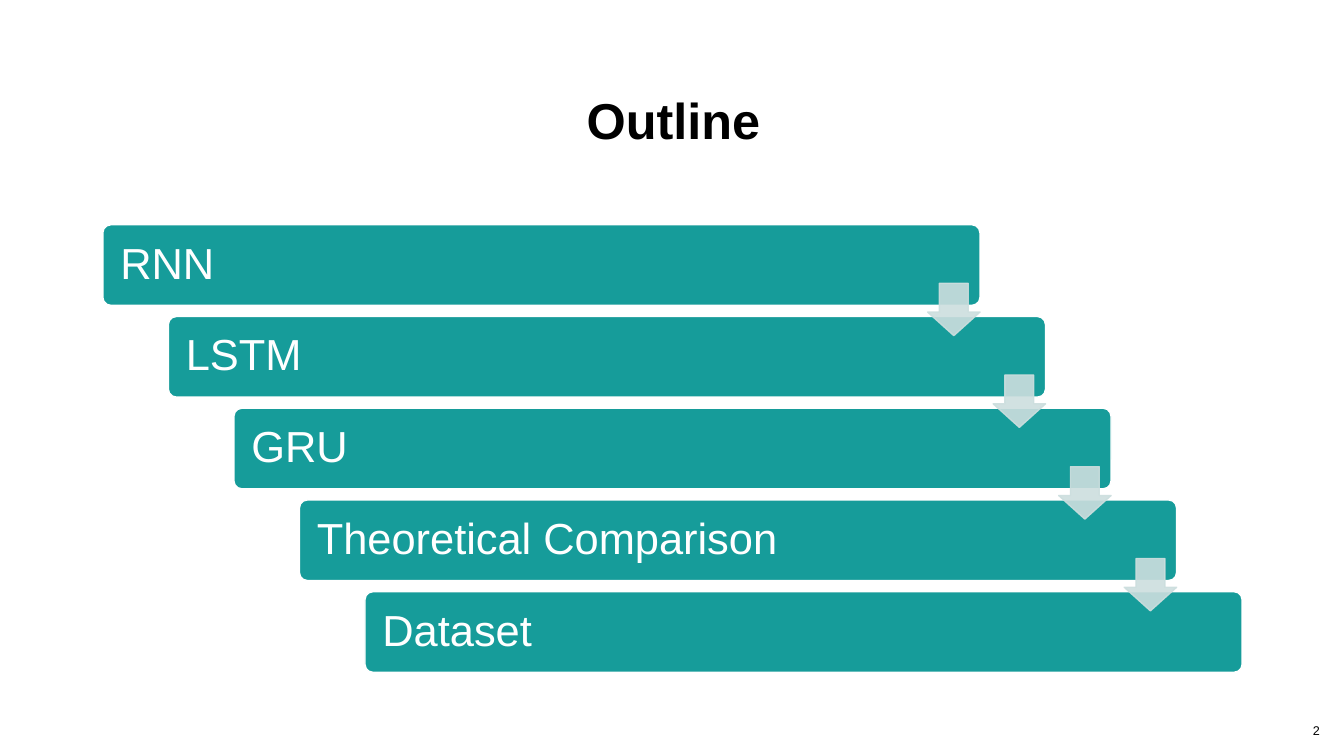
from dataclasses import dataclass

from lxml.etree import SubElement
from pptx import Presentation
from pptx.dml.color import RGBColor
from pptx.dml.fill import FillFormat
from pptx.enum.shapes import MSO_SHAPE
from pptx.enum.text import MSO_ANCHOR, MSO_AUTO_SIZE, PP_ALIGN
from pptx.oxml.ns import qn
from pptx.shapes.autoshape import Shape
from pptx.slide import Slide
from pptx.util import Inches, Pt

FONT = "Arial"
BLACK, WHITE, TEAL, MIST = "000000", "FFFFFF", "169C9A", "CCDEDE"

# Staircase grid: each step moves one column right and one row down
LEFT, TOP = 1.02, 2.23
COLUMN, ROW = 0.65, 0.91
BAR_WIDTH, BAR_HEIGHT = 8.7, 0.8
ARROW_SIZE, ARROW_DROP = 0.52, 0.58
TOPICS = ["RNN", "LSTM", "GRU", "Theoretical Comparison", "Dataset"]


@dataclass
class Box:
    left: float
    top: float
    width: float
    height: float

    def lengths(self) -> tuple[int, int, int, int]:
        return (Inches(self.left), Inches(self.top),
                Inches(self.width), Inches(self.height))


@dataclass
class Step:
    index: int
    topic: str

    @property
    def bar(self) -> Box:
        return Box(LEFT + self.index * COLUMN, TOP + self.index * ROW,
                   BAR_WIDTH, BAR_HEIGHT)

    @property
    def arrow(self) -> Box:
        return Box(self.bar.left + BAR_WIDTH - ARROW_SIZE,
                   self.bar.top + ARROW_DROP, ARROW_SIZE, ARROW_SIZE)


def color(value: str) -> RGBColor:
    return RGBColor.from_string(value)


def paint(fill: FillFormat, value: str) -> None:
    fill.solid()
    fill.fore_color.rgb = color(value)


def write(shape: Shape, text: str, size: float, ink: str,
          align: PP_ALIGN, bold: bool = False) -> None:
    frame = shape.text_frame
    frame.text = text
    frame.word_wrap = True
    frame.auto_size = MSO_AUTO_SIZE.NONE
    frame.vertical_anchor = MSO_ANCHOR.MIDDLE
    paragraph = frame.paragraphs[0]
    paragraph.alignment = align
    paragraph.line_spacing = 0.9
    font = paragraph.runs[0].font
    font.name, font.size, font.bold = FONT, Pt(size), bold
    font.color.rgb = color(ink)


def add_block(slide: Slide, kind: MSO_SHAPE, box: Box, fill: str, line: str,
              adjustments: list[float]) -> Shape:
    block = slide.shapes.add_shape(kind, *box.lengths())
    block.shadow.inherit = False
    paint(block.fill, fill)
    paint(block.line.fill, line)
    block.line.width = Pt(1)
    for position, value in enumerate(adjustments):
        block.adjustments[position] = value
    return block


def add_bar(slide: Slide, step: Step) -> None:
    bar = add_block(slide, MSO_SHAPE.ROUNDED_RECTANGLE, step.bar,
                    TEAL, WHITE, [0.1])
    bar.text_frame.margin_left = bar.text_frame.margin_right = Inches(0.15)
    write(bar, step.topic, 31, WHITE, PP_ALIGN.LEFT)


def add_arrow(slide: Slide, step: Step) -> None:
    arrow = add_block(slide, MSO_SHAPE.DOWN_ARROW, step.arrow,
                      MIST, MIST, [0.55, 0.45])
    # Fill and outline are 90 % opaque
    for tint in arrow.element.spPr.iter(qn("a:srgbClr")):
        SubElement(tint, qn("a:alpha"), val="90000")


def main() -> None:
    deck = Presentation()
    deck.slide_width, deck.slide_height = Inches(13.33), Inches(7.5)
    slide = deck.slides.add_slide(deck.slide_layouts[5])
    paint(slide.background.fill, WHITE)

    # Title
    title = slide.shapes.title
    title.left, title.top, title.width, title.height = Box(
        1.67, 0.6, 10.02, 1.24).lengths()
    write(title, "Outline", 36, BLACK, PP_ALIGN.CENTER, bold=True)

    # Slide number
    number = slide.shapes.add_textbox(*Box(12.72, 7.06, 0.47, 0.4).lengths())
    write(number, "2", 9, BLACK, PP_ALIGN.RIGHT)

    # Topics, with an arrow from each one to the next
    steps = [Step(index, topic) for index, topic in enumerate(TOPICS)]
    for step in steps:
        add_bar(slide, step)
    for step in steps[:-1]:
        add_arrow(slide, step)

    deck.save("out.pptx")


if __name__ == "__main__":
    main()
